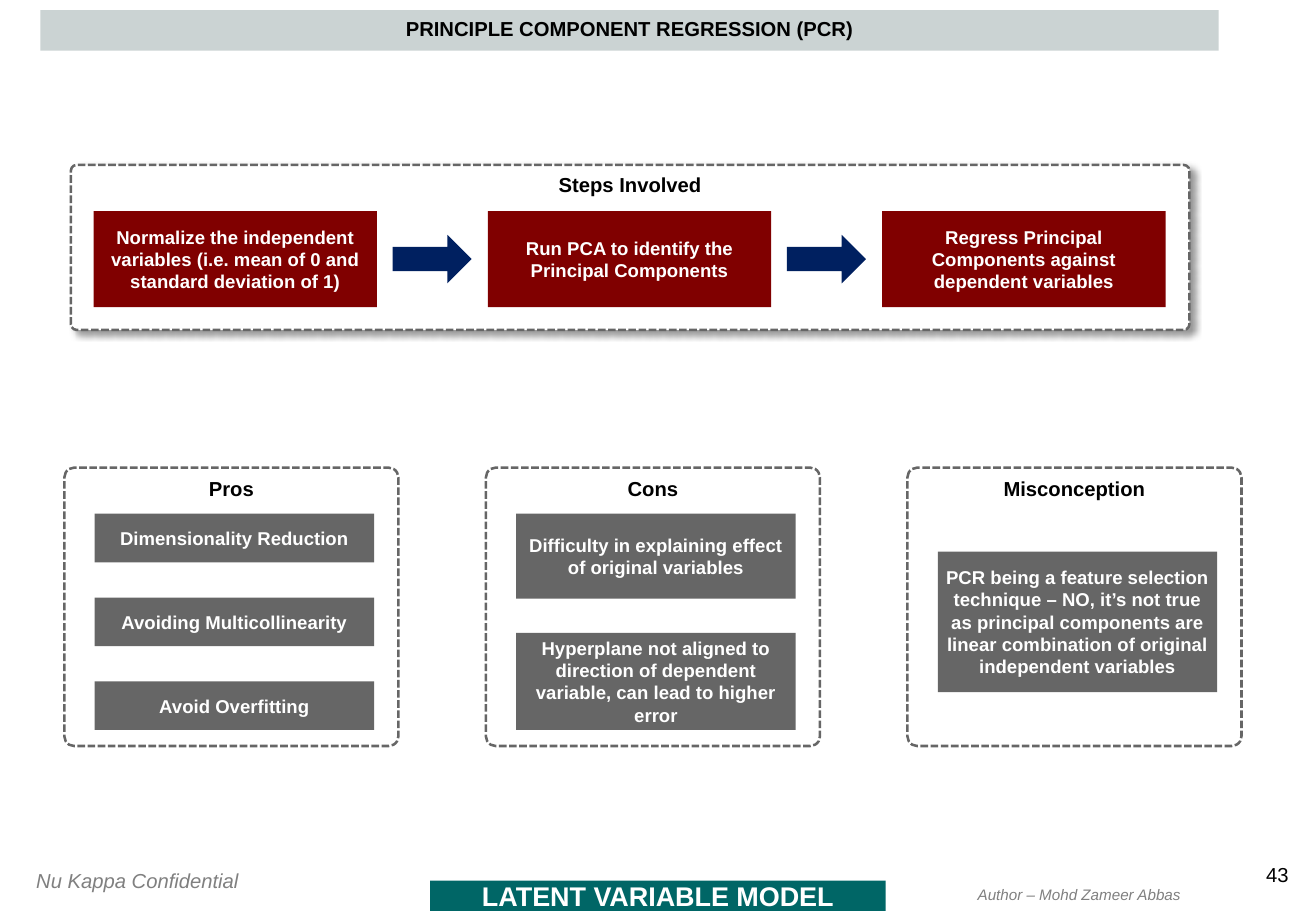
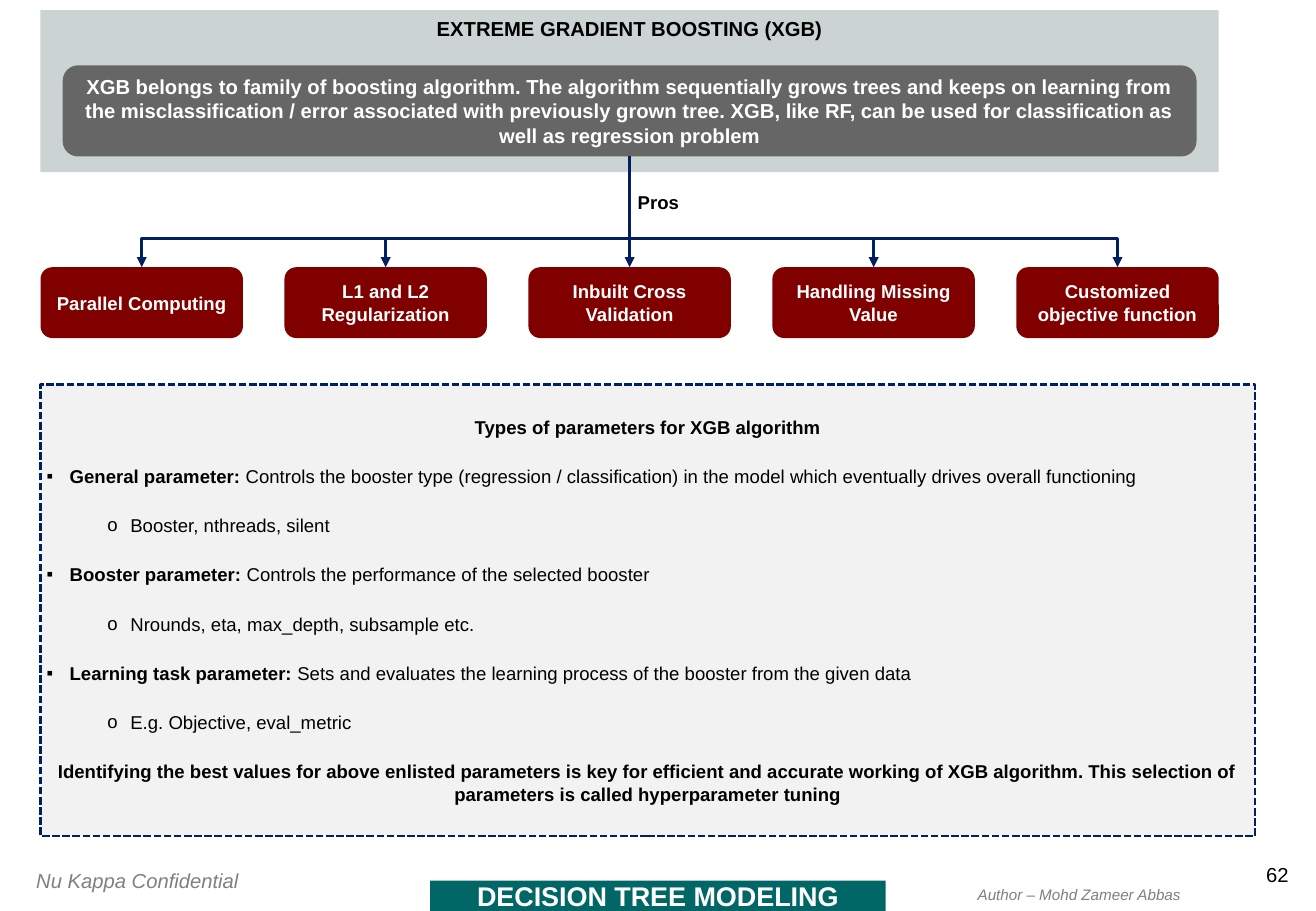
from dataclasses import dataclass

from lxml import etree
from pptx import Presentation
from pptx.dml.color import RGBColor
from pptx.enum.dml import MSO_LINE
from pptx.enum.shapes import MSO_CONNECTOR, MSO_SHAPE
from pptx.enum.text import MSO_ANCHOR, PP_ALIGN
from pptx.oxml.ns import qn
from pptx.util import Emu, Inches, Pt

COLUMNS, ROWS = 130, 90
UNIT = Inches(1) // 12
FONT = "Arial"
BLACK, WHITE, GRAY = "000000", "FFFFFF", "666666"
NAVY, MAROON, TEAL = "002060", "800000", "006666"
BAND, PALE, MUTED = "CBD3D3", "F2F2F2", "808080"
RECTANGLE, ROUNDED = MSO_SHAPE.RECTANGLE, MSO_SHAPE.ROUNDED_RECTANGLE
RIGHT_ARROW = MSO_SHAPE.RIGHT_ARROW
STRAIGHT, ELBOW = MSO_CONNECTOR.STRAIGHT, MSO_CONNECTOR.ELBOW
DASH = MSO_LINE.SQUARE_DOT
LEFT, CENTER, RIGHT = PP_ALIGN.LEFT, PP_ALIGN.CENTER, PP_ALIGN.RIGHT
TOP, MIDDLE = MSO_ANCHOR.TOP, MSO_ANCHOR.MIDDLE
SIDE_TOP, SIDE_BOTTOM = 0, 2
LINE_WIDTH = Pt(1.5)
ELBOW_SHARE = 74100
ENTRIES_TOP, ENTRIES_BOTTOM = 50.76, 72.12


@dataclass(frozen=True)
class Area:
    """A rectangle in grid columns and rows."""
    left: float
    top: float
    width: float
    height: float

    def lengths(self) -> list[Emu]:
        """Return the rectangle as slide lengths."""
        return [Emu(round(value * UNIT)) for value in (self.left, self.top, self.width, self.height)]


@dataclass(frozen=True)
class Style:
    """How a run of text looks."""
    size: float = 11
    color: str = WHITE
    bold: bool = True
    italic: bool = False


@dataclass(frozen=True)
class Entry:
    """A gray box in a panel."""
    text: str
    height: float = 4.8


@dataclass(frozen=True)
class Parameter:
    """A kind of parameter, its meaning and its examples."""
    name: str
    meaning: str
    examples: str


HEADING = Style(12, BLACK)
BODY_BOLD = Style(11, BLACK)
BODY = Style(11, BLACK, False)
STEPS = [
    "Normalize the independent variables (i.e. mean of 0 and standard deviation of 1)",
    "Run PCA to identify the Principal Components",
    "Regress Principal Components against dependent variables",
]
PANELS = {
    "Pros": [
        Entry("Dimensionality Reduction"),
        Entry("Avoiding Multicollinearity"),
        Entry("Avoid Overfitting"),
    ],
    "Cons": [
        Entry("Difficulty in explaining effect of original variables", 8.4),
        Entry("Hyperplane not aligned to direction of dependent variable, can lead to higher error", 9.6),
    ],
    "Misconception": [
        Entry("PCR being a feature selection technique – NO, it’s not true as principal components "
              "are linear combination of original independent variables", 13.9),
    ],
}
BENEFITS = [
    "Parallel Computing",
    "L1 and L2 Regularization",
    "Inbuilt Cross Validation",
    "Handling Missing Value",
    "Customized objective function",
]
PARAMETERS = [
    Parameter("General parameter: ",
              "Controls the booster type (regression / classification) in the model which "
              "eventually drives overall functioning",
              "Booster, nthreads, silent"),
    Parameter("Booster parameter: ", "Controls the performance of the selected booster",
              "Nrounds, eta, max_depth, subsample etc."),
    Parameter("Learning task parameter: ",
              "Sets and evaluates the learning process of the booster from the given data",
              "E.g. Objective, eval_metric"),
]


def rgb(color: str) -> RGBColor:
    """Turn a hex string into a colour."""
    return RGBColor.from_string(color)


def child(parent, tag: str, **attributes: str):
    """Append a drawing element and return it."""
    element = etree.SubElement(parent, qn(tag))
    for name, value in attributes.items():
        element.set(name, value)
    return element


def add_run(paragraph, text: str, style: Style) -> None:
    """Add one styled run."""
    run = paragraph.add_run()
    run.text = text
    font = run.font
    font.name, font.size = FONT, Pt(style.size)
    font.bold, font.italic = style.bold, style.italic
    font.color.rgb = rgb(style.color)


def add_bullet(paragraph, character: str, margin: float) -> None:
    """Give a paragraph a hanging bullet."""
    properties = paragraph._p.get_or_add_pPr()
    properties.set("marL", str(Inches(margin)))
    properties.set("indent", str(-Inches(0.19)))
    child(properties, "a:buFont", typeface=FONT)
    child(properties, "a:buChar", char=character)


def add_box(slide, area: Area, fill: str, text: str = "", style: Style = Style(),
            kind=RECTANGLE, anchor=MIDDLE, outline: str = ""):
    """Draw a filled shape with centred text and an optional dashed outline."""
    shape = slide.shapes.add_shape(kind, *area.lengths())
    shape.shadow.inherit = False
    shape.fill.solid()
    shape.fill.fore_color.rgb = rgb(fill)
    if outline:
        shape.line.color.rgb = rgb(outline)
        shape.line.width = LINE_WIDTH
        shape.line.dash_style = DASH
    else:
        shape.line.fill.background()
    frame = shape.text_frame
    frame.word_wrap = True
    frame.vertical_anchor = anchor
    frame.margin_left = frame.margin_top = frame.margin_right = frame.margin_bottom = Inches(0.05)
    if text:
        frame.paragraphs[0].alignment = CENTER
        add_run(frame.paragraphs[0], text, style)
    return shape


def add_label(slide, area: Area, text: str, style: Style, alignment=LEFT, inset: bool = True) -> None:
    """Place a line of free text."""
    frame = slide.shapes.add_textbox(*area.lengths()).text_frame
    frame.word_wrap = inset
    if not inset:
        frame.margin_left = frame.margin_top = frame.margin_right = frame.margin_bottom = 0
    frame.paragraphs[0].alignment = alignment
    add_run(frame.paragraphs[0], text, style)


def add_panel(slide, area: Area, title: str):
    """Draw a dashed panel with its heading."""
    panel = add_box(slide, area, WHITE, title, HEADING, ROUNDED, TOP, GRAY)
    panel.adjustments[0] = 0.035
    return panel


def add_panel_shadow(panel) -> None:
    """Cast a soft shadow to the lower right."""
    effects = panel.element.spPr.find(qn("a:effectLst"))
    shadow = child(effects, "a:outerShdw", blurRad=str(Pt(4)), dist=str(Pt(3)),
                   dir="2700000", algn="tl", rotWithShape="0")
    child(child(shadow, "a:srgbClr", val=BLACK), "a:alpha", val="40000")


def add_branch(slide, source, target) -> None:
    """Draw an arrow from the foot of one box to the head of another."""
    start_x, start_y = source.left + source.width // 2, source.top + source.height
    end_x, end_y = target.left + target.width // 2, target.top
    run, drop = abs(end_x - start_x), end_y - start_y
    bent = run > UNIT
    connector = slide.shapes.add_connector(ELBOW if bent else STRAIGHT, start_x, start_y, end_x, end_y)
    connector.begin_connect(source, SIDE_BOTTOM)
    connector.end_connect(target, SIDE_TOP)
    properties = connector.element.spPr
    if bent:
        connector.left = (start_x + end_x - drop) // 2
        connector.top = (start_y + end_y - run) // 2
        connector.width, connector.height = drop, run
        rightward = end_x > start_x
        transform = properties.find(qn("a:xfrm"))
        transform.set("rot", "16200000" if rightward else "5400000")
        transform.set("flipH", "1" if rightward else "0")
        guides = properties.find(qn("a:prstGeom")).find(qn("a:avLst"))
        child(guides, "a:gd", name="adj1", fmla=f"val {ELBOW_SHARE}")
    connector.line.color.rgb = rgb(NAVY)
    connector.line.width = LINE_WIDTH
    child(properties.find(qn("a:ln")), "a:tailEnd", type="triangle")
    child(properties, "a:effectLst")


def add_base_slide(presentation, title: str, band_height: float, topic: str, number: str):
    """Add a slide with the title band and footer."""
    slide = presentation.slides.add_slide(presentation.slide_layouts[6])
    add_label(slide, Area(124.8, 85.2, 2.5, 2.4), number, Style(12, BLACK, False), RIGHT, False)
    add_label(slide, Area(2.4, 85.2, 24, 3.6), "Nu Kappa Confidential", Style(12, MUTED, False, True))
    add_label(slide, Area(95.4, 86.88, 24, 3), "Author – Mohd Zameer Abbas", Style(9, MUTED, False, True))
    add_box(slide, Area(42.5, 87, 45, 3), TEAL, topic, Style(16))
    add_box(slide, Area(4, 1, 116.4, band_height), BAND, title, HEADING, anchor=TOP)
    return slide


def build_regression_slide(presentation) -> None:
    """Show the steps, pros and cons of component regression."""
    slide = add_base_slide(presentation, "PRINCIPLE COMPONENT REGRESSION (PCR)", 4,
                           "LATENT VARIABLE MODEL", "43")
    add_panel_shadow(add_panel(slide, Area(7, 16.3, 110.5, 16.3), "Steps Involved"))
    for index, step in enumerate(STEPS):
        left = 9.24 + 38.95 * index
        add_box(slide, Area(left, 20.85, 28, 9.5), MAROON, step)
        if index < len(STEPS) - 1:
            add_box(slide, Area(left + 29.55, 23.2, 7.8, 4.8), NAVY, kind=RIGHT_ARROW)
    for index, (title, entries) in enumerate(PANELS.items()):
        left = 6.36 + 41.64 * index
        add_panel(slide, Area(left, 46.2, 33, 27.5), title)
        spare = ENTRIES_BOTTOM - ENTRIES_TOP - sum(entry.height for entry in entries)
        single = len(entries) == 1
        gap = spare / 2 if single else spare / (len(entries) - 1)
        top = ENTRIES_TOP + (gap if single else 0)
        for entry in entries:
            add_box(slide, Area(left + 3, top, 27.6, entry.height), GRAY, entry.text)
            top += entry.height + gap


def add_parameters(slide) -> None:
    """Fill the dashed box with the kinds of parameters."""
    box = add_box(slide, Area(4, 38, 120, 44.6), PALE, "Types of parameters for XGB algorithm",
                  BODY_BOLD, outline=NAVY)
    frame = box.text_frame
    for parameter in PARAMETERS:
        paragraph = frame.add_paragraph()
        paragraph.alignment = LEFT
        add_bullet(paragraph, "▪", 0.19)
        add_run(paragraph, parameter.name, BODY_BOLD)
        add_run(paragraph, parameter.meaning, BODY)
        paragraph = frame.add_paragraph()
        paragraph.alignment = LEFT
        paragraph.level = 1
        add_bullet(paragraph, "o", 0.69)
        add_run(paragraph, parameter.examples, BODY)
    closing = frame.add_paragraph()
    closing.alignment = CENTER
    add_run(closing, "Identifying the best values for above enlisted parameters is key for efficient and "
            "accurate working of XGB algorithm. This selection of parameters is called "
            "hyperparameter tuning", BODY_BOLD)
    for index, paragraph in enumerate(frame.paragraphs):
        paragraph.space_before = Pt(8 if index else 0)
        paragraph.space_after = Pt(8)


def build_boosting_slide(presentation) -> None:
    """Show the benefits and parameters of gradient boosting."""
    slide = add_base_slide(presentation, "EXTREME GRADIENT BOOSTING (XGB)", 16,
                           "DECISION TREE MODELING", "62")
    summary = add_box(slide, Area(6.2, 6.46, 112, 9),
                      GRAY, "XGB belongs to family of boosting algorithm. The algorithm sequentially grows "
                      "trees and keeps on learning from the misclassification / error associated with "
                      "previously grown tree. XGB, like RF, can be used for classification as well as "
                      "regression problem", Style(12), ROUNDED)
    boxes = [add_box(slide, Area(4 + 24.1 * index, 26.4, 20, 7), MAROON, benefit, kind=ROUNDED)
             for index, benefit in enumerate(BENEFITS)]
    for box in boxes:
        add_branch(slide, summary, box)
    add_label(slide, Area(59.4, 18.24, 11.3, 3.5), "Pros", BODY_BOLD, CENTER)
    add_parameters(slide)


def main() -> None:
    """Build and save the presentation."""
    presentation = Presentation()
    presentation.slide_width, presentation.slide_height = Emu(COLUMNS * UNIT), Emu(ROWS * UNIT)
    build_regression_slide(presentation)
    build_boosting_slide(presentation)
    presentation.save("out.pptx")


if __name__ == "__main__":
    main()
